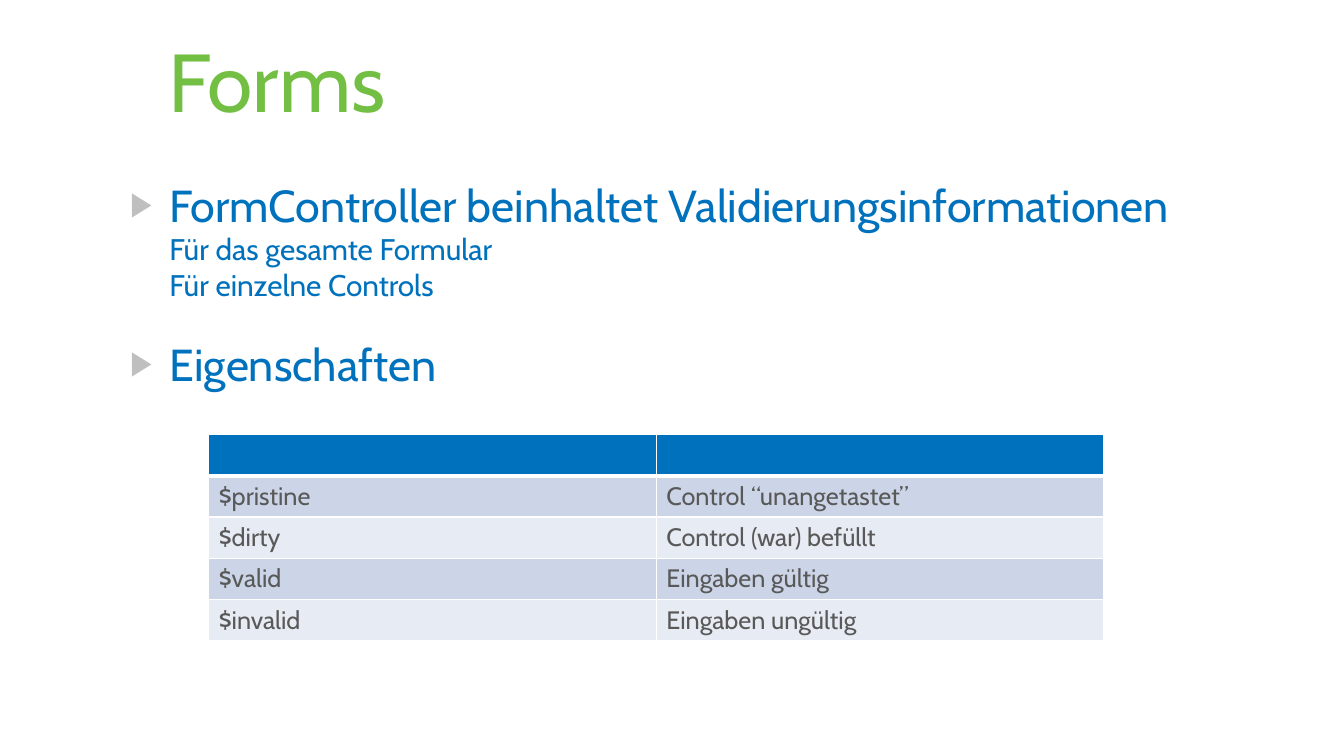
from lxml import etree
from pptx import Presentation
from pptx.dml.color import RGBColor
from pptx.enum.text import MSO_ANCHOR, MSO_AUTO_SIZE, PP_ALIGN
from pptx.oxml.ns import qn
from pptx.util import Inches, Pt

LEFT = PP_ALIGN.LEFT
TOP = MSO_ANCHOR.TOP
MIDDLE = MSO_ANCHOR.MIDDLE
NO_AUTOFIT = MSO_AUTO_SIZE.NONE

FONT = "Cabin"
GREEN = RGBColor(0x72, 0xBF, 0x44)
BLUE = RGBColor(0x00, 0x71, 0xBC)
TEXT_GRAY = RGBColor(0x59, 0x59, 0x59)
BULLET_GRAY = RGBColor(0xBF, 0xBF, 0xBF)
BAND_DARK = RGBColor(0xCC, 0xD5, 0xE7)
BAND_LIGHT = RGBColor(0xE7, 0xEB, 0xF3)
WHITE = RGBColor(0xFF, 0xFF, 0xFF)

SLIDE_WIDTH, SLIDE_HEIGHT = Inches(13.33), Inches(7.5)
TITLE_BOX = (Inches(1.67), Inches(0.29), Inches(11.3), Inches(0.99))
BODY_BOX = (Inches(1.28), Inches(1.76), Inches(11.69), Inches(5.74))
TABLE_LEFT, TABLE_TOP = Inches(2.07), Inches(4.31)
COLUMN_WIDTH, ROW_HEIGHT = Inches(4.44), Inches(0.41)
TEXT_INDENT, BULLET_HANG = Inches(0.4), Inches(0.39)

OUTLINE = [
    ("FormController beinhaltet Validierungsinformationen", 0),
    ("Für das gesamte Formular", 1),
    ("Für einzelne Controls", 1),
    ("Eigenschaften", 0),
]
PROPERTIES = [
    ("", ""),
    ("$pristine", "Control “unangetastet”"),
    ("$dirty", "Control (war) befüllt"),
    ("$valid", "Eingaben gültig"),
    ("$invalid", "Eingaben ungültig"),
]


def format_runs(paragraph, size, color):
    paragraph.alignment = LEFT
    for run in paragraph.runs:
        run.font.name = FONT
        run.font.size = Pt(size)
        run.font.color.rgb = color


def prepare_frame(text_frame, anchor):
    text_frame.word_wrap = True
    text_frame.auto_size = NO_AUTOFIT
    text_frame.vertical_anchor = anchor
    text_frame.margin_left = text_frame.margin_right = 0
    text_frame.margin_top = text_frame.margin_bottom = 0


def add_bullet(properties):
    color = etree.SubElement(properties, qn("a:buClr"))
    etree.SubElement(color, qn("a:srgbClr"), val=str(BULLET_GRAY))
    etree.SubElement(properties, qn("a:buSzPct"), val="75000")
    etree.SubElement(properties, qn("a:buFont"), typeface="Arial")
    etree.SubElement(properties, qn("a:buChar"), char="▶")


def set_title(slide, text):
    title = slide.shapes.title
    title.left, title.top, title.width, title.height = TITLE_BOX
    prepare_frame(title.text_frame, MIDDLE)
    title.text_frame.text = text
    format_runs(title.text_frame.paragraphs[0], 58.7, GREEN)


def add_outline(slide, outline):
    text_frame = slide.shapes.add_textbox(*BODY_BOX).text_frame
    prepare_frame(text_frame, TOP)
    text_frame.text = "\n".join(text for text, level in outline)
    for paragraph, (text, level) in zip(text_frame.paragraphs, outline):
        paragraph.level = level
        format_runs(paragraph, 21.3 if level else 32, BLUE)
        paragraph.space_before = Pt(0 if level else 24)
        properties = paragraph._p.get_or_add_pPr()
        properties.set("marL", str(TEXT_INDENT))
        properties.set("indent", str(0 if level else -BULLET_HANG))
        if level == 0:
            add_bullet(properties)


def set_borders(cell, bottom_width):
    properties = cell._tc.get_or_add_tcPr()
    widths = {"a:lnL": 1, "a:lnR": 1, "a:lnT": 1, "a:lnB": bottom_width}
    for position, (tag, width) in enumerate(widths.items()):
        line = etree.Element(qn(tag), w=str(Pt(width)))
        fill = etree.SubElement(line, qn("a:solidFill"))
        etree.SubElement(fill, qn("a:srgbClr"), val=str(WHITE))
        properties.insert(position, line)


def row_color(row):
    if row == 0:
        return BLUE
    return BAND_DARK if row % 2 else BAND_LIGHT


def add_property_table(slide, rows):
    column_count = len(rows[0])
    table = slide.shapes.add_table(
        len(rows), column_count, TABLE_LEFT, TABLE_TOP,
        COLUMN_WIDTH * column_count, ROW_HEIGHT * len(rows),
    ).table
    for row, values in enumerate(rows):
        for column, value in enumerate(values):
            cell = table.cell(row, column)
            cell.text = value
            format_runs(cell.text_frame.paragraphs[0], 18, TEXT_GRAY)
            cell.fill.solid()
            cell.fill.fore_color.rgb = row_color(row)
            set_borders(cell, 1 if row else 3)
    for cell in table.iter_cells():
        cell.vertical_anchor = TOP
    for column in range(column_count):
        table.cell(1, column)._tc.tcPr.find(qn("a:lnT")).set("w", str(Pt(3)))


def main():
    presentation = Presentation()
    presentation.slide_width = SLIDE_WIDTH
    presentation.slide_height = SLIDE_HEIGHT
    slide = presentation.slides.add_slide(presentation.slide_layouts[5])
    set_title(slide, "Forms")
    add_outline(slide, OUTLINE)
    add_property_table(slide, PROPERTIES)
    presentation.save("out.pptx")


if __name__ == "__main__":
    main()
